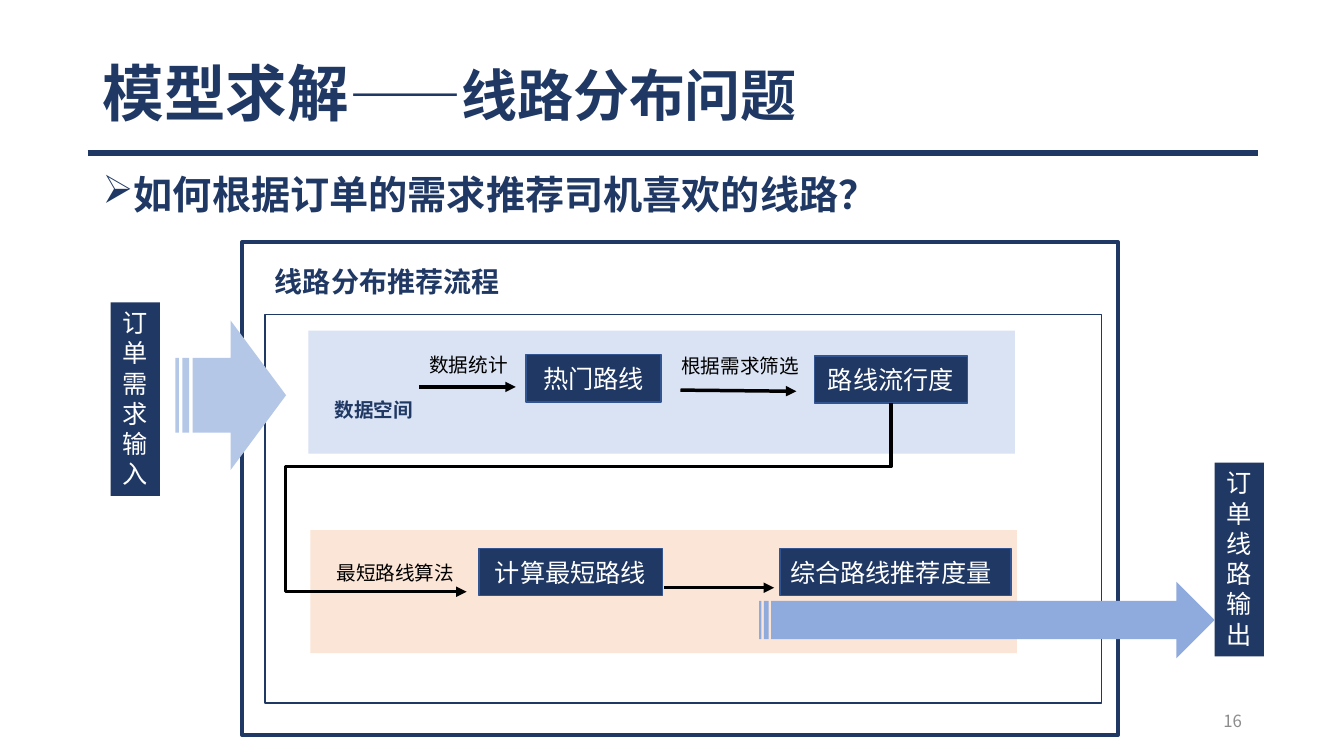
"""Build a slide on recommending routes from order needs."""
from dataclasses import dataclass

from lxml import etree
from pptx import Presentation
from pptx.dml.color import RGBColor
from pptx.enum.shapes import MSO_CONNECTOR, MSO_SHAPE
from pptx.enum.text import MSO_ANCHOR, PP_ALIGN
from pptx.oxml.ns import qn
from pptx.util import Cm, Pt

RECT = MSO_SHAPE.RECTANGLE
STRIPED = MSO_SHAPE.STRIPED_RIGHT_ARROW
STRAIGHT = MSO_CONNECTOR.STRAIGHT
ELBOW = MSO_CONNECTOR.ELBOW
LEFT, CENTER, RIGHT = PP_ALIGN.LEFT, PP_ALIGN.CENTER, PP_ALIGN.RIGHT
TOP, MIDDLE = MSO_ANCHOR.TOP, MSO_ANCHOR.MIDDLE


@dataclass(frozen=True)
class Theme:
    """Hold the font, colours and type sizes."""
    font: str = "Noto Sans CJK SC"
    navy: str = "203864"
    edge: str = "325491"
    black: str = "000000"
    white: str = "FFFFFF"
    gray: str = "8C8C8C"
    pale: str = "DAE3F3"
    peach: str = "FBE5D6"
    light: str = "B4C7E7"
    blue: str = "8FAADC"
    title: int = 44
    topic: int = 40
    lead: int = 28
    head: int = 20
    node: int = 18
    label: int = 14
    small: int = 12


T = Theme()


def color(code):
    """Turn a hex code into a colour."""
    return RGBColor.from_string(code)


def style(run, size, tint, bold=False):
    """Format one run, for Latin and Chinese glyphs alike."""
    font = run.font
    font.name, font.size, font.bold = T.font, Pt(size), bold
    font.color.rgb = color(tint)
    east = etree.SubElement(run._r.rPr, qn("a:ea"))
    east.set("typeface", T.font)


def write(shape, text, size, tint, bold=False, align=LEFT, anchor=TOP):
    """Fill a shape with one formatted paragraph and return it."""
    frame = shape.text_frame
    frame.word_wrap = True
    frame.vertical_anchor = anchor
    frame.text = text
    para = frame.paragraphs[0]
    para.alignment = align
    style(para.runs[0], size, tint, bold)
    return para


def text_box(slide, box, text, size, tint, **look):
    """Add a text box and return its paragraph."""
    shape = slide.shapes.add_textbox(*map(Cm, box))
    return write(shape, text, size, tint, **look)


def block(slide, box, fill=None, line=None, width=1, kind=RECT):
    """Add a flat shape with an optional fill and outline."""
    shape = slide.shapes.add_shape(kind, *map(Cm, box))
    shape.shadow.inherit = False
    if fill:
        shape.fill.solid()
        shape.fill.fore_color.rgb = color(fill)
    else:
        shape.fill.background()
    if line:
        shape.line.color.rgb = color(line)
        shape.line.width = Pt(width)
    else:
        shape.line.fill.background()
    return shape


def node(slide, x, y, width, text, align=CENTER):
    """Add a dark step box of the flow."""
    shape = block(slide, (x, y, width, 1.19), T.navy, T.edge)
    write(shape, text, T.node, T.white, align=align, anchor=MIDDLE)
    return shape


def port(slide, x, y, text):
    """Add a tall box for the input or output of the flow."""
    shape = block(slide, (x, y, 1.24, 4.88), T.navy)
    write(shape, text, T.node, T.white, align=CENTER)


def link(slide, start, end, tint=T.black, width=2.5, head=True, kind=STRAIGHT):
    """Add a connector, with an arrowhead if asked."""
    line = slide.shapes.add_connector(kind, *map(Cm, start + end))
    line.line.color.rgb = color(tint)
    line.line.width = Pt(width)
    if head:
        tail = etree.SubElement(line.line._get_or_add_ln(), qn("a:tailEnd"))
        tail.set("type", "triangle")
    etree.SubElement(line._element.spPr, qn("a:effectLst"))
    return line


def detour(slide, source, target):
    """Lead from the bottom of a box round to the left of a panel."""
    x, y = source.left + source.width // 2, source.top + source.height
    goal = target.top + target.height // 2
    line = link(slide, (0, 0), (1, 1), head=False, kind=ELBOW)
    line.begin_connect(source, 2)
    line.end_connect(target, 1)
    props = line._element.spPr
    frame = props.find(qn("a:xfrm"))
    for flip in ("flipH", "flipV"):
        frame.attrib.pop(flip, None)
    frame.set("rot", "5400000")
    wide, high = goal - y, x - target.left
    line.left = (x + target.left - wide) // 2
    line.top = (y + goal - high) // 2
    line.width, line.height = wide, high
    shape = props.find(qn("a:prstGeom"))
    shape.set("prst", "bentConnector4")
    guides = shape.find(qn("a:avLst"))
    if guides is None:
        guides = etree.SubElement(shape, qn("a:avLst"))
    for name, value in (("adj1", 33600), ("adj2", 104300)):
        guide = etree.SubElement(guides, qn("a:gd"))
        guide.set("name", name)
        guide.set("fmla", f"val {value}")


def header(slide):
    """Add the title, its rule and the leading question."""
    link(slide, (2.21, 3.86), (31.7, 3.86), T.navy, 4, head=False)
    para = text_box(slide, (2.34, 1.02, 29.21, 2.84), "模型求解",
                    T.title, T.navy, bold=True, anchor=MIDDLE)
    para.line_spacing = 0.9
    topic = para.add_run()
    topic.text = "——线路分布问题"
    style(topic, T.topic, T.navy, True)
    para = text_box(slide, (2.34, 4.29, 29.21, 1.5),
                    "如何根据订单的需求推荐司机喜欢的线路？",
                    T.lead, T.navy, bold=True)
    para.line_spacing = 0.9
    props = para._p.get_or_add_pPr()
    props.set("marL", str(Cm(0.64)))
    props.set("indent", str(-Cm(0.64)))
    etree.SubElement(props, qn("a:buChar")).set("char", "➢")


def flow(slide):
    """Add the frames, panels, steps and arrows of the flow."""
    block(slide, (7.77, 8.33, 17.81, 3.1), T.pale)
    block(slide, (6.68, 7.92, 21.08, 9.8), line=T.navy)
    text_box(slide, (8.08, 9.91, 2.69, 0.86), "数据空间",
             T.label, T.navy, bold=True, align=CENTER)
    panel = block(slide, (7.82, 13.36, 17.81, 3.1), T.peach)
    block(slide, (6.1, 6.1, 22.07, 12.42), line=T.navy, width=3)
    text_box(slide, (6.68, 6.53, 11.56, 1.12), "线路分布推荐流程",
             T.head, T.navy, bold=True)

    port(slide, 2.79, 7.62, "订单需求输入")
    block(slide, (4.42, 8.08, 2.79, 3.76), T.light, kind=STRIPED)
    port(slide, 30.61, 11.66, "订单线路输出")
    block(slide, (19.13, 14.66, 11.48, 1.93), T.blue, kind=STRIPED)

    node(slide, 13.26, 8.94, 3.4, "热门路线")
    trend = node(slide, 20.52, 8.97, 3.86, "路线流行度")
    node(slide, 12.07, 13.82, 4.62, "计算最短路线")
    node(slide, 19.66, 13.82, 5.82, "综合路线推荐度量", LEFT)

    link(slide, (10.57, 9.75), (13, 9.75))
    link(slide, (17.15, 9.83), (20.07, 9.86))
    link(slide, (16.74, 14.81), (19.51, 14.81))
    link(slide, (7.82, 14.91), (11.76, 14.91)).begin_connect(panel, 1)
    detour(slide, trend, panel)

    for x, y, text in ((10.57, 8.76, "数据统计"),
                       (16.92, 8.79, "根据需求筛选"),
                       (8.23, 14, "最短路线算法")):
        text_box(slide, (x, y, 3.53, 0.86), text, T.label, T.black)


def main():
    """Build and save the slide."""
    deck = Presentation()
    deck.slide_width, deck.slide_height = Cm(33.87), Cm(19.05)
    slide = deck.slides.add_slide(deck.slide_layouts[6])
    header(slide)
    flow(slide)
    text_box(slide, (23.93, 17.65, 7.62, 1.02), "16",
             T.small, T.gray, align=RIGHT, anchor=MIDDLE)
    deck.save("out.pptx")


if __name__ == "__main__":
    main()
